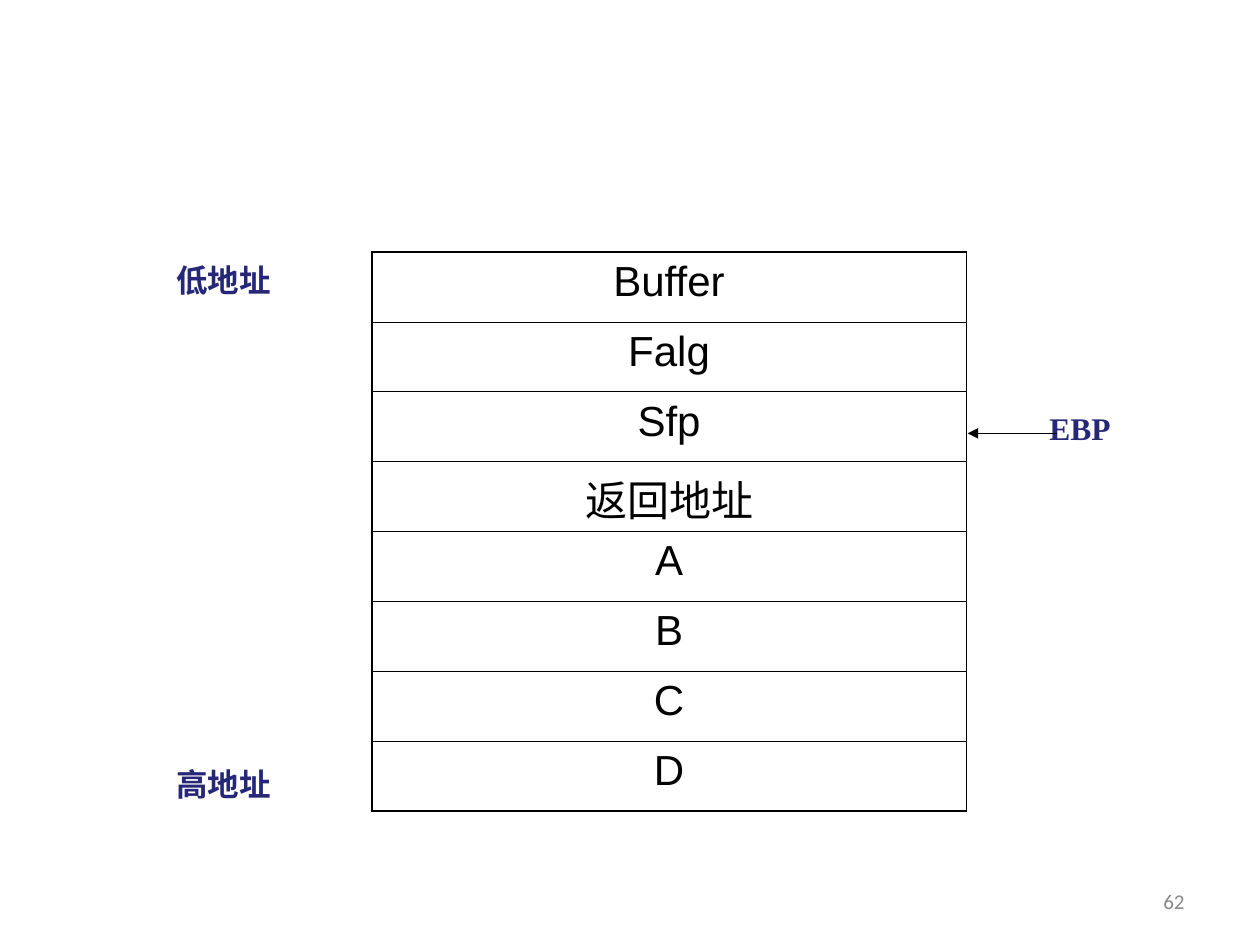
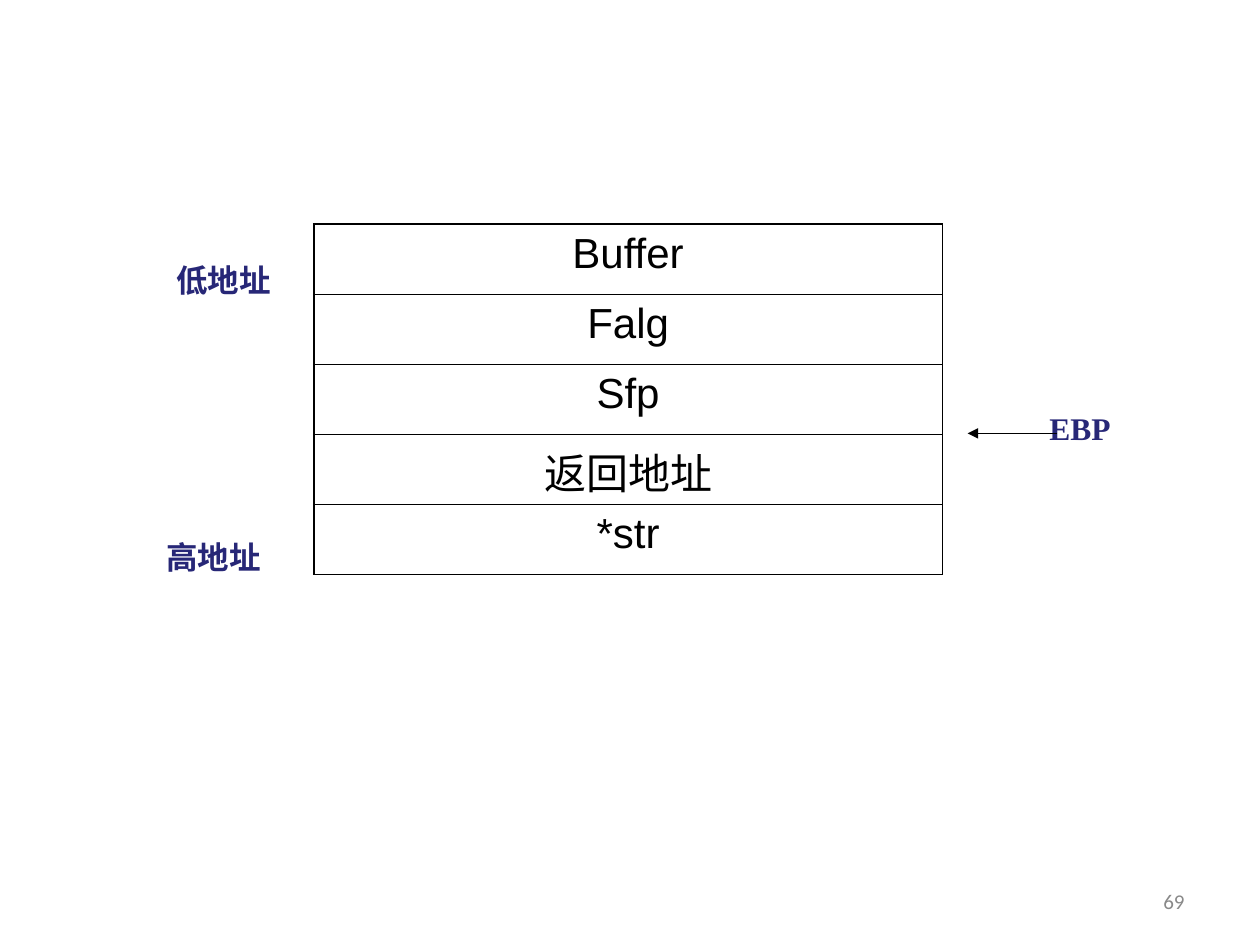
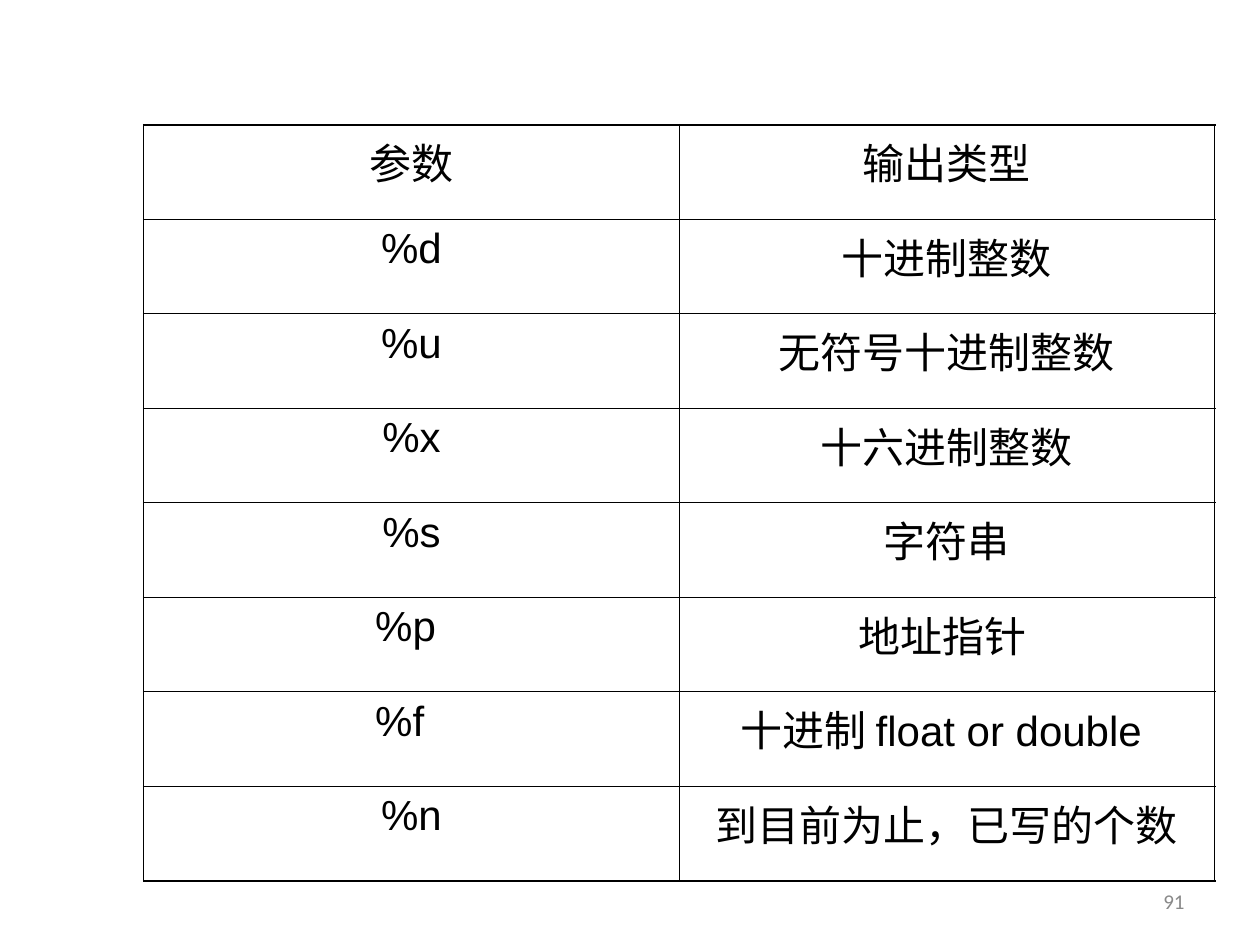
from lxml import etree
from pptx import Presentation
from pptx.dml.color import RGBColor
from pptx.enum import shapes, text
from pptx.oxml.ns import qn
from pptx.util import Inches, Pt

COLORS = {"ink": "000000", "label": "272777", "number": "898989"}
BLANK_LAYOUT = 6
OUTER_LINE, INNER_LINE = Pt(1.08), Pt(0.45)


def format_paragraph(paragraph, font_name, size, color, bold=False, align=text.PP_ALIGN.LEFT):
    paragraph.alignment = align
    font = paragraph.font
    font.name, font.size, font.bold = font_name, Pt(size), bold
    font.color.rgb = RGBColor.from_string(COLORS[color])


def add_text(slide, content, left, top, width, anchor=text.MSO_ANCHOR.TOP, **style):
    shape = slide.shapes.add_textbox(Inches(left), Inches(top), Inches(width), Inches(0.4))
    frame = shape.text_frame
    frame.word_wrap = True
    frame.vertical_anchor = anchor
    frame.text = content
    format_paragraph(frame.paragraphs[0], **style)


def add_label(slide, content, left, top, width=1.57):
    add_text(slide, content, left, top, width,
             font_name="Times New Roman", size=18, color="label", bold=True)


def add_slide(presentation, number):
    slide = presentation.slides.add_slide(presentation.slide_layouts[BLANK_LAYOUT])
    add_text(slide, number, 7.17, 6.95, 2.33, text.MSO_ANCHOR.MIDDLE,
             font_name="Calibri", size=12, color="number", align=text.PP_ALIGN.RIGHT)
    return slide


def set_borders(cell, widths):
    """Draw the cell edges; widths maps L, R, T and B, in that order, to a line width."""
    properties = cell._tc.get_or_add_tcPr()
    for side, width in widths.items():
        line = etree.SubElement(properties, qn(f"a:ln{side}"), w=str(int(width)))
        fill = etree.SubElement(line, qn("a:solidFill"))
        etree.SubElement(fill, qn("a:srgbClr"), val=COLORS["ink"])


def add_grid(slide, rows, left, top, width, height):
    row_count, column_count = len(rows), len(rows[0])
    table = slide.shapes.add_table(row_count, column_count, Inches(left), Inches(top),
                                   Inches(width), Inches(height)).table
    table.first_row = table.horz_banding = False
    for r, row in enumerate(rows):
        for c, content in enumerate(row):
            cell = table.cell(r, c)
            cell.text = content
            format_paragraph(cell.text_frame.paragraphs[0], "Arial", 24, "ink",
                             align=text.PP_ALIGN.CENTER)
            on_edge = {"L": c == 0, "R": c == column_count - 1,
                       "T": r == 0, "B": r == row_count - 1}
            set_borders(cell, {side: OUTER_LINE if edge else INNER_LINE
                               for side, edge in on_edge.items()})
            cell.fill.background()


def add_arrow(slide, start_x, end_x, y):
    arrow = slide.shapes.add_connector(shapes.MSO_CONNECTOR.STRAIGHT, Inches(start_x),
                                       Inches(y), Inches(end_x), Inches(y))
    arrow.line.width = Pt(0.75)
    arrow.line.color.rgb = RGBColor.from_string(COLORS["ink"])
    etree.SubElement(arrow.line._get_or_add_ln(), qn("a:tailEnd"), type="triangle")
    etree.SubElement(arrow._element.spPr, qn("a:effectLst"))


def add_stack_slide(presentation, number, entries, grid_box, high_label_at):
    """Stack layout from low to high addresses, with the base pointer marked."""
    slide = add_slide(presentation, number)
    add_grid(slide, [[entry] for entry in entries], *grid_box)
    add_label(slide, "低地址", 1.3, 2.02)
    add_label(slide, "高地址", *high_label_at)
    add_label(slide, "EBP", 8.23, 3.2, 1.18)
    add_arrow(slide, 8.39, 7.68, 3.44)


def main():
    presentation = Presentation()
    presentation.slide_width, presentation.slide_height = Inches(10), Inches(7.5)

    # Stack diagrams
    frame_entries = ["Buffer", "Falg", "Sfp", "返回地址"]
    add_stack_slide(presentation, "62", frame_entries + ["A", "B", "C", "D"],
                    (2.95, 2, 4.72, 4.44), (1.3, 6.02))
    add_stack_slide(presentation, "69", frame_entries + ["*str"],
                    (2.49, 1.78, 4.99, 2.78), (1.22, 4.22))

    # Format parameters
    slide = add_slide(presentation, "91")
    add_grid(slide, [
        ("参数", "输出类型"),
        ("%d", "十进制整数"),
        ("%u", "无符号十进制整数"),
        ("%x", "十六进制整数"),
        ("%s", "字符串"),
        ("%p ", "地址指针 "),
        ("%f  ", "十进制 float or double "),
        ("%n", "到目前为止，已写的个数"),
    ], 1.14, 0.99, 8.5, 6)

    presentation.save("out.pptx")


if __name__ == "__main__":
    main()
